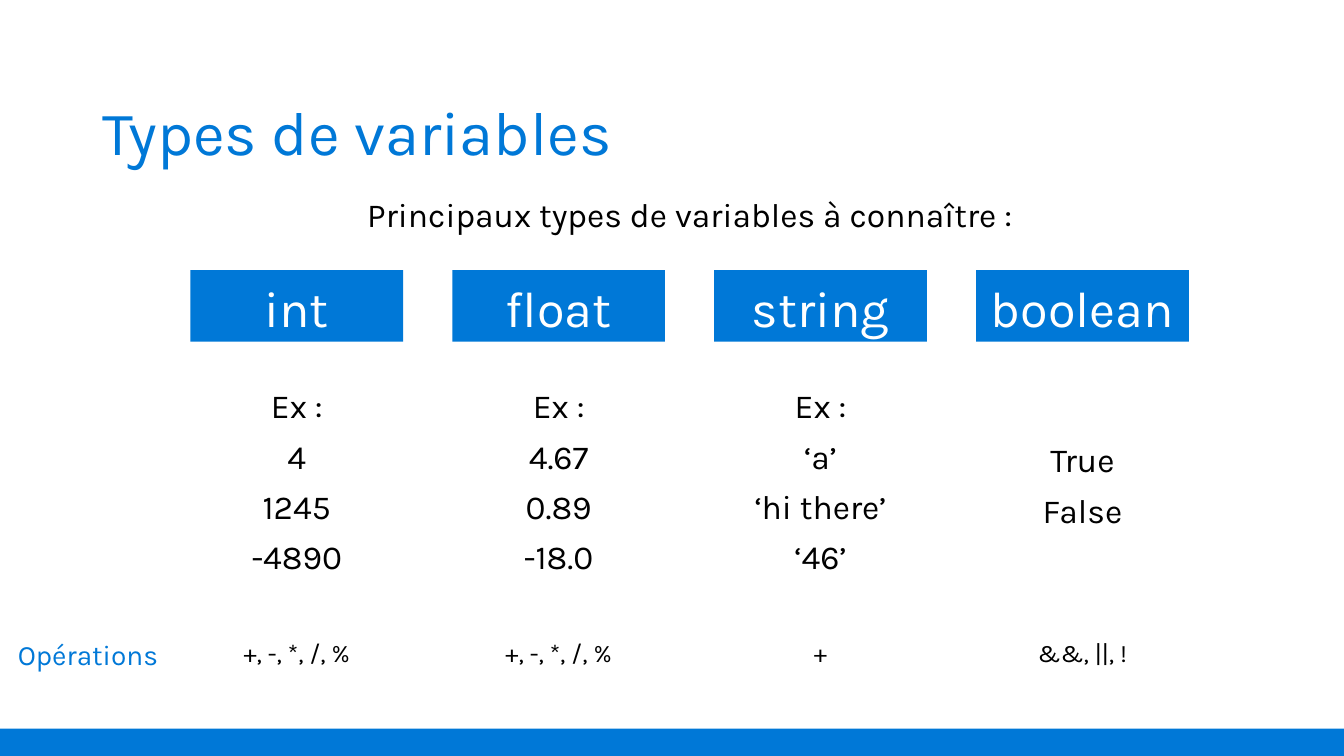
from pptx import Presentation
from pptx.dml.color import RGBColor
from pptx.enum.shapes import MSO_SHAPE as Shape
from pptx.enum.text import MSO_ANCHOR as Anchor, PP_ALIGN as Align
from pptx.util import Cm, Pt

COLORS = {"blue": "0078D7", "black": "000000", "white": "FFFFFF"}

COLUMN_LEFT, COLUMN_STEP, COLUMN_WIDTH = 4.8, 6.6, 5.36
EXAMPLE_INSET = 0.18

VARIABLE_TYPES = [
    ("int", ["Ex :", "4", "1245", "-4890"], "+, -, *, /, %"),
    ("float", ["Ex :", "4.67", "0.89", "-18.0"], "+, -, *, /, %"),
    ("string", ["Ex :", "‘a’", "‘hi there’", "‘46’"], "+"),
    ("boolean", ["True", "False"], "&&, ||, !"),
]


class SlideBuilder:
    font_name = "Karla"

    def __init__(self, slide):
        self.slide = slide

    def color(self, name):
        return RGBColor.from_string(COLORS[name])

    def fill_text(self, shape, lines, size, color, align, spacing=0.9, before=10):
        text_frame = shape.text_frame
        text_frame.word_wrap = True
        text_frame.text = "\n".join(lines)
        for paragraph in text_frame.paragraphs:
            paragraph.alignment = align
            paragraph.line_spacing = spacing
            paragraph.space_before = Pt(before)
            for run in paragraph.runs:
                run.font.name = self.font_name
                run.font.size = Pt(size)
                run.font.color.rgb = self.color(color)

    def text(self, left, top, width, height, lines, size, color="black",
             align=Align.CENTER, anchor=Anchor.TOP, before=10):
        shape = self.slide.shapes.add_textbox(Cm(left), Cm(top), Cm(width), Cm(height))
        self.fill_text(shape, lines, size, color, align, before=before)
        shape.text_frame.vertical_anchor = anchor

    def bar(self, left, top, width, height):
        shape = self.slide.shapes.add_shape(
            Shape.RECTANGLE, Cm(left), Cm(top), Cm(width), Cm(height))
        shape.shadow.inherit = False
        shape.fill.solid()
        shape.fill.fore_color.rgb = self.color("blue")
        shape.line.fill.background()
        return shape

    def header(self, left, top, width, height, label):
        shape = self.bar(left, top, width, height)
        self.fill_text(shape, [label], 36, "white", Align.CENTER, spacing=1.0, before=0)
        shape.text_frame.vertical_anchor = Anchor.TOP
        shape.text_frame.margin_top = Cm(0.18)
        shape.text_frame.margin_bottom = 0


def main():
    presentation = Presentation()
    presentation.slide_width = Cm(33.87)
    presentation.slide_height = Cm(19.05)
    builder = SlideBuilder(presentation.slides.add_slide(presentation.slide_layouts[6]))

    builder.text(2.34, 1.57, 29.21, 3.68, ["Types de variables"], 44, "blue",
                 Align.LEFT, Anchor.MIDDLE, before=0)
    builder.text(COLUMN_LEFT, 4.88, 25.17, 1.68,
                 ["Principaux types de variables à connaître :"], 24)
    builder.bar(0, 18.36, 33.87, 0.69)
    builder.text(0.2, 16.03, 4.8, 1.68, ["Opérations"], 20, "blue", Align.LEFT)

    for index, (label, examples, operations) in enumerate(VARIABLE_TYPES):
        left = COLUMN_LEFT + index * COLUMN_STEP
        examples_top = 9.7 if len(examples) == 4 else 11.06
        builder.header(left, 6.81, COLUMN_WIDTH, 1.8, label)
        builder.text(left + EXAMPLE_INSET, examples_top, COLUMN_WIDTH - 2 * EXAMPLE_INSET,
                     14.98 - examples_top, examples, 24)
        builder.text(left, 16.03, COLUMN_WIDTH, 1.68, [operations], 18)

    presentation.save("out.pptx")


if __name__ == "__main__":
    main()
